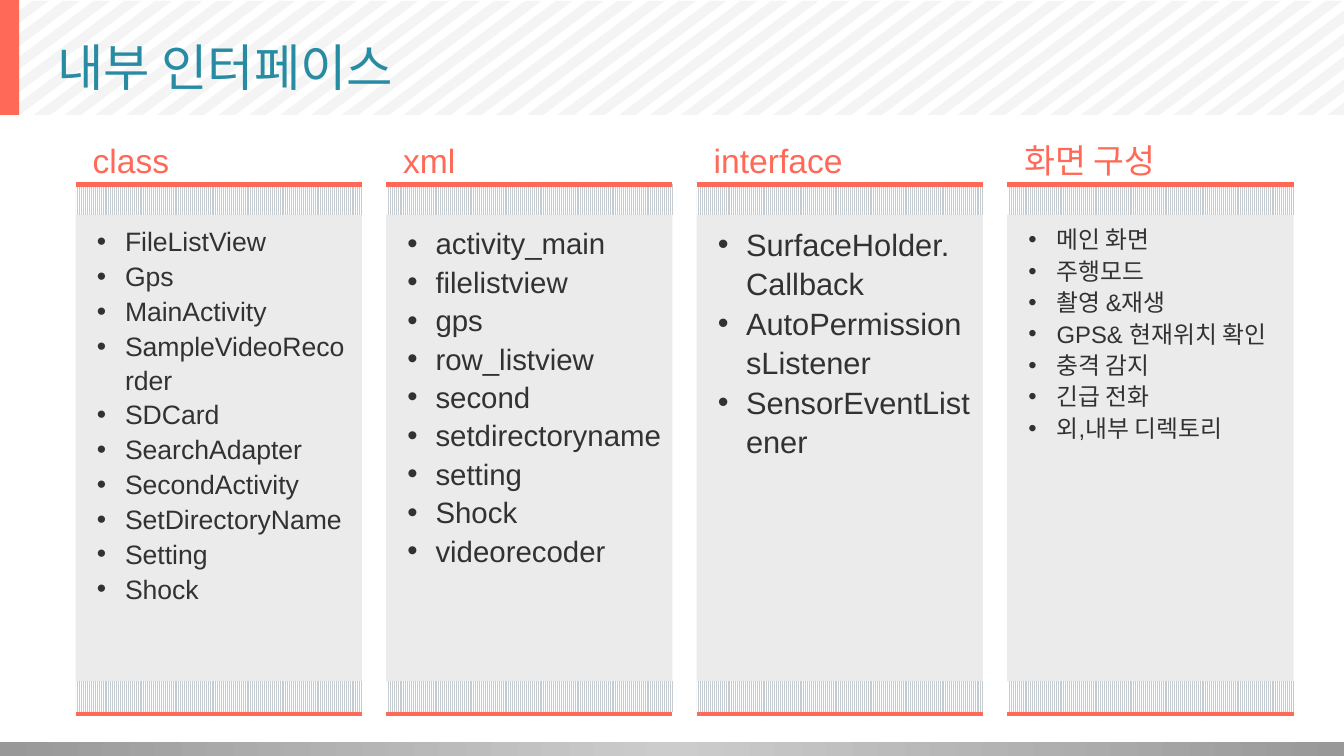
from copy import deepcopy
from lxml import etree
from pptx import Presentation
from pptx.dml.color import RGBColor
from pptx.enum import dml, shapes, text
from pptx.oxml import ns
from pptx.util import Inches, Pt

TITLE = "내부 인터페이스"
# heading, text size, items
COLUMNS = [
    ("class", 19, ["FileListView", "Gps", "MainActivity", "SampleVideoRecorder",
                   "SDCard", "SearchAdapter", "SecondActivity",
                   "SetDirectoryName", "Setting", "Shock"]),
    ("xml", 21, ["activity_main", "filelistview", "gps", "row_listview", "second",
                 "setdirectoryname", "setting", "Shock", "videorecoder"]),
    ("interface", 22, ["SurfaceHolder. Callback", "AutoPermissionsListener",
                       "SensorEventListener"]),
    ("화면 구성", 17, ["메인 화면", "주행모드", "촬영 &재생", "GPS& 현재위치 확인",
                   "충격 감지", "긴급 전화", "외,내부 디렉토리"]),
]
FONT = "Arial"
CORAL, TEAL, INK, PANEL = "FF6957", "268BA3", "323232", "EBEBEB"
HATCH, WHITE = "C5CCD1", "FFFFFF"
FOOTER_STOPS = [(0, "989898"), (0.5, "CCCCCC"), (1, "989898")]

PAGE_W, PAGE_H = 13.33, 7.5
STRIPE_TOP, STRIPE_BOTTOM = 0.01, 1.14
STRIPE_STEP, STRIPE_W, STRIPE_LEAN = 0.3055, 0.165, 1.51
COLUMN_X, COLUMN_STEP, COLUMN_W = 0.75, 3.08, 2.84
PANEL_Y, PANEL_H, HATCH_H = 1.83, 5.23, 0.3

deck = Presentation()
deck.slide_width, deck.slide_height = Inches(PAGE_W), Inches(PAGE_H)
page = deck.slides.add_slide(deck.slide_layouts[6])


def color(value):
    return RGBColor.from_string(value)


def add_rect(x, y, w, h, fill=None):
    box = page.shapes.add_shape(shapes.MSO_SHAPE.RECTANGLE,
                                Inches(x), Inches(y), Inches(w), Inches(h))
    box.shadow.inherit = False
    box.line.fill.background()
    if fill:
        box.fill.solid()
        box.fill.fore_color.rgb = color(fill)
    return box


def add_label(x, y, w, h, words, size, ink, anchor):
    box = page.shapes.add_textbox(Inches(x), Inches(y), Inches(w), Inches(h))
    frame = box.text_frame
    frame.word_wrap = True
    frame.vertical_anchor = anchor
    frame.text = words
    style(frame.paragraphs[0], size, ink)


def style(para, size, ink):
    for span in para.runs:
        span.font.name, span.font.size = FONT, Pt(size)
        span.font.color.rgb = color(ink)


def add_rule(x, y):
    rule = page.shapes.add_connector(shapes.MSO_CONNECTOR.STRAIGHT, Inches(x),
                                     Inches(y), Inches(x + COLUMN_W), Inches(y))
    rule.line.color.rgb, rule.line.width = color(CORAL), Pt(3)
    etree.SubElement(rule._element.spPr, ns.qn("a:effectLst"))


def add_hatch(x, y):
    fill = add_rect(x, y, COLUMN_W, HATCH_H).fill
    fill.patterned()
    fill.pattern = dml.MSO_PATTERN.LIGHT_VERTICAL
    fill.fore_color.rgb, fill.back_color.rgb = color(HATCH), color(WHITE)


def clipped_edge(foot):
    """Lower and upper end of a slanted edge, kept inside the page width."""
    ends = []
    for x in (foot, foot + STRIPE_LEAN):
        inside = min(max(x, 0), PAGE_W)
        rise = (inside - foot) / STRIPE_LEAN
        ends.append((inside, STRIPE_BOTTOM - rise * (STRIPE_BOTTOM - STRIPE_TOP)))
    return ends


def add_stripe(foot):
    points = clipped_edge(foot) + clipped_edge(foot + STRIPE_W)[::-1]
    points = [(Inches(x), Inches(y)) for x, y in points]
    builder = page.shapes.build_freeform(*points[0])
    builder.add_line_segments(points[1:], close=True)
    stripe = builder.convert_to_shape()
    stripe.shadow.inherit = False
    stripe.line.fill.background()
    stripe.fill.solid()
    stripe.fill.fore_color.rgb = color(PANEL)
    tint = stripe._element.spPr.find(".//" + ns.qn("a:srgbClr"))
    etree.SubElement(tint, ns.qn("a:alpha"), val="52000")


def add_bullets(box, items, size):
    frame = box.text_frame
    frame.word_wrap = True
    frame.vertical_anchor = text.MSO_ANCHOR.TOP
    frame.margin_left, frame.margin_top = Inches(0.2), Inches(0.39)
    frame.margin_right, frame.margin_bottom = Inches(0.1), Inches(0.05)
    frame.text = "\n".join(items)
    for index, para in enumerate(frame.paragraphs):
        props = para._p.get_or_add_pPr()
        props.set("marL", str(Inches(0.29)))
        props.set("indent", str(Inches(-0.28)))
        etree.SubElement(props, ns.qn("a:buFont"), typeface=FONT)
        etree.SubElement(props, ns.qn("a:buChar"), char="•")
        para.alignment = text.PP_ALIGN.LEFT
        para.line_spacing = 1.05
        if index:
            para.space_before = Pt(1)
        style(para, size, INK)


# Striped header
for number in range(-5, 44):
    add_stripe(0.03 + number * STRIPE_STEP)

# Footer bar with a three-stop gradient
footer = add_rect(0, 7.36, PAGE_W, 0.14)
footer.fill.gradient()
footer.fill.gradient_angle = 0
stop_list = footer._element.spPr.find(".//" + ns.qn("a:gsLst"))
stop_list.append(deepcopy(stop_list[0]))
for stop, (position, shade) in zip(footer.fill.gradient_stops, FOOTER_STOPS):
    stop.position, stop.color.rgb = position, color(shade)

# Title
add_rect(0, 0, 0.19, 1.14, CORAL)
add_label(0.47, 0.14, 12.36, 1.03, TITLE, 36, TEAL, text.MSO_ANCHOR.MIDDLE)

# Columns
for number, (heading, size, items) in enumerate(COLUMNS):
    left = COLUMN_X + number * COLUMN_STEP
    panel = add_rect(left, PANEL_Y, COLUMN_W, PANEL_H, PANEL)
    add_bullets(panel, items, size)
    for hatch_y, rule_y in ((PANEL_Y, PANEL_Y), (6.76, 7.08)):
        add_hatch(left, hatch_y)
        add_rule(left, rule_y)
    add_label(left + 0.07, 1.34, 2.66, 0.49, heading, 24, CORAL, text.MSO_ANCHOR.TOP)

deck.save("out.pptx")
